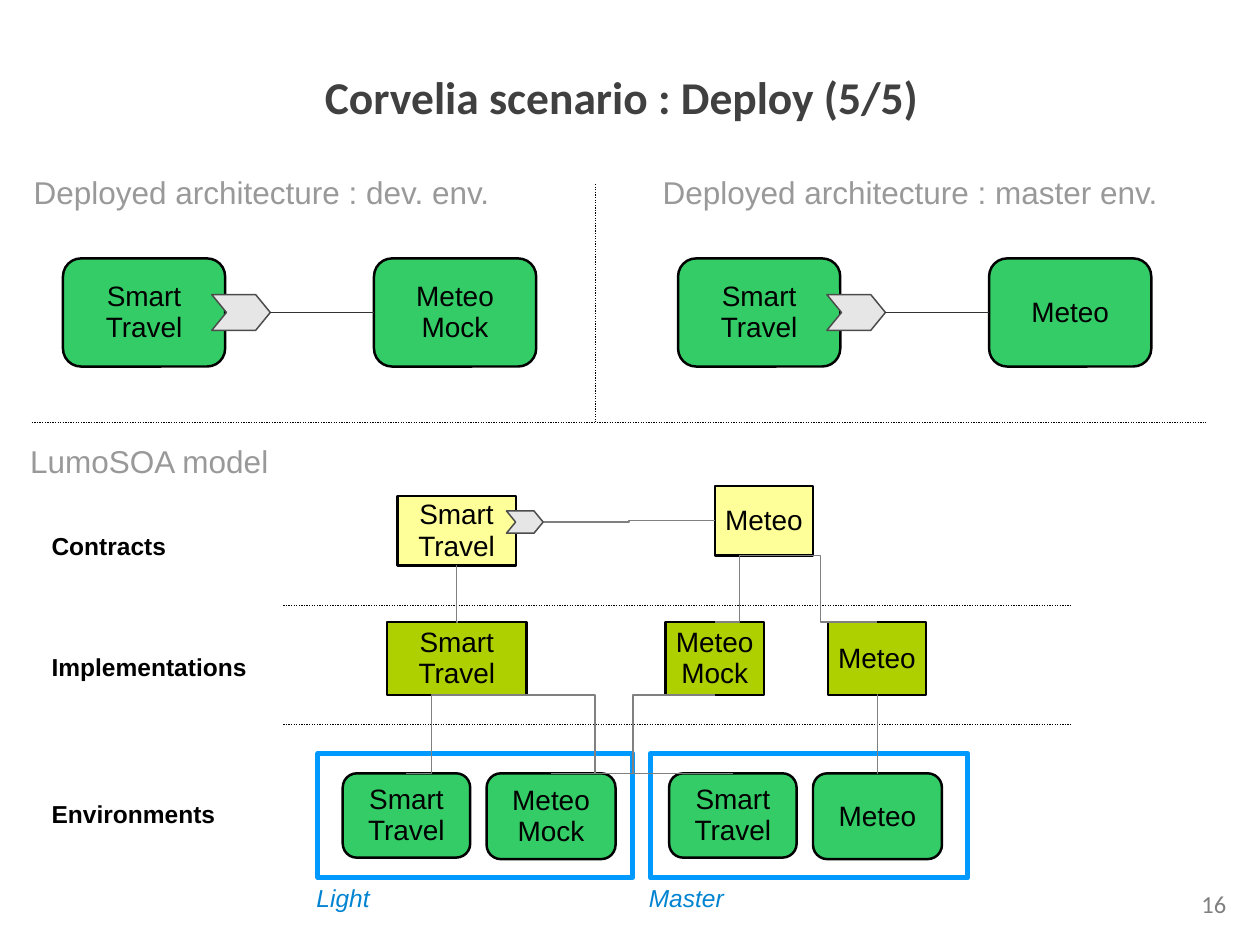
import dataclasses

import lxml.etree
import pptx
import pptx.dml.color
import pptx.enum.dml
import pptx.enum.shapes
import pptx.enum.text
import pptx.oxml.ns
import pptx.util

Cm = pptx.util.Cm
Pt = pptx.util.Pt
RGBColor = pptx.dml.color.RGBColor
Shape = pptx.enum.shapes.MSO_SHAPE
Connector = pptx.enum.shapes.MSO_CONNECTOR
Align = pptx.enum.text.PP_ALIGN
Anchor = pptx.enum.text.MSO_ANCHOR

BLACK = RGBColor(0x00, 0x00, 0x00)
TITLE_GREY = RGBColor(0x40, 0x40, 0x40)
HEADING_GREY = RGBColor(0x99, 0x99, 0x99)
LINK_GREY = RGBColor(0x80, 0x80, 0x80)
WIRE_GREY = RGBColor(0x33, 0x33, 0x33)
PORT_FILL = RGBColor(0xE6, 0xE6, 0xE6)
PORT_EDGE = RGBColor(0x4C, 0x4C, 0x4C)
GREEN = RGBColor(0x33, 0xCC, 0x66)
OLIVE = RGBColor(0xAE, 0xCF, 0x00)
YELLOW = RGBColor(0xFF, 0xFF, 0x99)
FRAME_BLUE = RGBColor(0x00, 0x99, 0xFF)
LABEL_BLUE = RGBColor(0x00, 0x84, 0xD1)


@dataclasses.dataclass
class Box:
    """A rectangle in centimetres."""
    left: float
    top: float
    width: float
    height: float

    def inner(self, dx, dy, width, height):
        return Box(self.left + dx, self.top + dy, width, height)

    def point(self, across, down):
        return self.left + across * self.width, self.top + down * self.height

    def lengths(self):
        return [Cm(value) for value in dataclasses.astuple(self)]


def set_insets(frame, side, top, bottom):
    frame.margin_left = frame.margin_right = Cm(side)
    frame.margin_top, frame.margin_bottom = Cm(top), Cm(bottom)


def add_span(para, text, size, color, font="Arial", bold=False, italic=False):
    span = para.add_run()
    span.text = text
    span.font.name, span.font.size = font, Pt(size)
    span.font.bold, span.font.italic = bold, italic
    span.font.color.rgb = color


def add_text(page, box, text, size, color, align=Align.LEFT, spacing=0.93, **style):
    frame = page.shapes.add_textbox(*box.lengths()).text_frame
    frame.word_wrap = True
    set_insets(frame, 0.25, 0.16, 0.13)
    para = frame.paragraphs[0]
    para.alignment, para.line_spacing = align, spacing
    add_span(para, text, size, color, **style)


def add_node(page, box, label, fill, preset=Shape.RECTANGLE):
    """Labelled box: each newline starts a paragraph, each \\v breaks a line."""
    node = page.shapes.add_shape(preset, *box.lengths())
    node.shadow.inherit = False
    node.fill.solid()
    node.fill.fore_color.rgb = fill
    node.line.color.rgb, node.line.width = BLACK, Pt(1.42)
    frame = node.text_frame
    frame.word_wrap = False
    frame.vertical_anchor = Anchor.MIDDLE
    set_insets(frame, 0.28, 0.18, 0.16)
    for index, words in enumerate(label.split("\n")):
        para = frame.add_paragraph() if index else frame.paragraphs[0]
        para.alignment, para.line_spacing = Align.CENTER, 0.93
        for row, word in enumerate(words.split("\v")):
            if row:
                para.add_line_break()
            add_span(para, word, 16, BLACK)
    return node


def add_line(page, start, end, color, width=0.75, kind=Connector.STRAIGHT, dotted=False):
    line = page.shapes.add_connector(kind, *[Cm(value) for value in (*start, *end)])
    line.line.color.rgb, line.line.width = color, Pt(width)
    if dotted:
        line.line.dash_style = pptx.enum.dml.MSO_LINE.ROUND_DOT
    properties = line._element.spPr
    lxml.etree.SubElement(properties, pptx.oxml.ns.qn("a:effectLst"))
    return line


def add_link(page, upper, lower):
    """Elbow from the bottom of one box to the top of another."""
    add_line(page, upper.point(0.5, 1), lower.point(0.5, 0), LINK_GREY, kind=Connector.ELBOW)


def add_port(page, box):
    """Notched arrow marking a service reference."""
    outline = [(0, 0), (0.75, 0), (1, 0.5), (0.75, 1), (0, 1), (0.25, 0.5)]
    start, *rest = [tuple(Cm(v) for v in box.point(*corner)) for corner in outline]
    builder = page.shapes.build_freeform(*start)
    builder.add_line_segments(rest, close=True)
    port = builder.convert_to_shape()
    port.shadow.inherit = False
    port.fill.solid()
    port.fill.fore_color.rgb = PORT_FILL
    port.line.color.rgb, port.line.width = PORT_EDGE, Pt(0.85)


def draw_title(page, box, text):
    title = page.shapes.title
    title.left, title.top, title.width, title.height = box.lengths()
    frame = title.text_frame
    frame.auto_size = pptx.enum.text.MSO_AUTO_SIZE.NONE
    frame.vertical_anchor = Anchor.TOP
    set_insets(frame, 0.25, 0.13, 0.13)
    para = frame.paragraphs[0]
    para.alignment = Align.LEFT
    add_span(para, text, 26, TITLE_GREY, font="Calibri", bold=True)


def draw_architecture(page, box, heading, outdent, provider):
    add_text(page, box.inner(-outdent, 0, 14.35, 0.97), heading, 18, HEADING_GREY)
    client = box.inner(0, 1.81, 3.27, 2.18)
    add_node(page, client, "Smart\vTravel", GREEN, Shape.ROUNDED_RECTANGLE)
    server = box.inner(6.27, 1.81, 3.27, 2.18)
    server_node = add_node(page, server, provider, GREEN, Shape.ROUNDED_RECTANGLE)
    port = client.inner(3, 0.73, 1.18, 0.72)
    add_port(page, port)
    wire = add_line(page, port.point(1, 0.5), server.point(0, 0.5), WIRE_GREY, 0.85)
    wire.end_connect(server_node, 1)


def draw_environment(page, box, name, inset, provider):
    """Draw the framed environment and return the boxes of its two services."""
    client = box.inner(inset, 0.4, 2.57, 1.7)
    server = box.inner(inset + 2.9, 0.4, 2.6, 1.73)
    for service, label in ((client, "Smart\nTravel"), (server, provider)):
        add_node(page, service, label, GREEN, Shape.ROUNDED_RECTANGLE)
    frame = page.shapes.add_shape(Shape.RECTANGLE, *box.lengths())
    frame.shadow.inherit = False
    frame.fill.background()
    frame.line.color.rgb, frame.line.width = FRAME_BLUE, Pt(2.83)
    add_text(page, box.inner(-0.28, 2.51, 6, 1.04), name, 14, LABEL_BLUE, italic=True)
    return client, server


def draw_model(page, box):
    add_text(page, box.inner(0, 0, 9.47, 0.97), "LumoSOA model", 18, HEADING_GREY)
    for label, dy in (("Contracts", 1.78), ("Implementations", 4.22), ("Environments", 7.19)):
        add_text(page, box.inner(0.43, dy, 4.7, 0.81), label, 14, BLACK, bold=True)
    for dy in (3.39, 5.79):
        separator = box.inner(5.35, dy, 15.88, 0)
        add_line(page, separator.point(0, 0), separator.point(1, 0), BLACK, dotted=True)

    travel_contract = box.inner(7.65, 1.19, 2.39, 1.4)
    meteo_contract = box.inner(14.05, 0.99, 1.98, 1.4)
    travel = box.inner(7.44, 3.73, 2.82, 1.47)
    mock = box.inner(13.06, 3.73, 1.98, 1.47)
    meteo = box.inner(16.33, 3.73, 1.98, 1.47)
    for node, label, fill in (
        (travel_contract, "Smart\nTravel", YELLOW),
        (meteo_contract, "Meteo", YELLOW),
        (travel, "Smart\nTravel", OLIVE),
        (mock, "Meteo\nMock", OLIVE),
        (meteo, "Meteo", OLIVE),
    ):
        add_node(page, node, label, fill)
    light_travel, light_mock = draw_environment(
        page, box.inner(6.05, 6.38, 6.35, 2.5), "Light", 0.5, "Meteo\nMock")
    master_travel, master_meteo = draw_environment(
        page, box.inner(12.75, 6.38, 6.4, 2.51), "Master", 0.38, "Meteo")

    port = travel_contract.inner(2.2, 0.3, 0.74, 0.45)
    add_line(page, port.point(1, 0.5), meteo_contract.point(0, 0.5), LINK_GREY,
             kind=Connector.ELBOW)
    for upper, lower in (
        (travel_contract, travel), (meteo_contract, mock), (meteo_contract, meteo),
        (travel, light_travel), (travel, master_travel),
        (mock, light_mock), (meteo, master_meteo),
    ):
        add_link(page, upper, lower)
    add_port(page, port)


def main():
    deck = pptx.Presentation()
    deck.slide_width, deck.slide_height = Cm(25.4), Cm(19.05)
    page = deck.slides.add_slide(deck.slide_layouts[5])
    draw_title(page, Box(6.3, 1.27, 18.6, 1.35), "Corvelia scenario : Deploy (5/5)")
    draw_architecture(page, Box(1.27, 3.4, 9.54, 4),
                      "Deployed architecture : dev. env.", 0.84, "Meteo\nMock")
    draw_architecture(page, Box(13.67, 3.4, 9.54, 4),
                      "Deployed architecture : master env.", 0.56, "Meteo")
    add_line(page, (0.64, 8.51), (24.31, 8.51), BLACK, dotted=True)
    add_line(page, (12, 3.71), (12, 8.51), BLACK, dotted=True)
    draw_model(page, Box(0.36, 8.81, 22, 10))
    add_text(page, Box(20, 17.77, 4.97, 1), "16", 14, LINK_GREY,
             align=Align.RIGHT, spacing=1.0, font="Calibri")
    deck.save("out.pptx")


if __name__ == "__main__":
    main()
